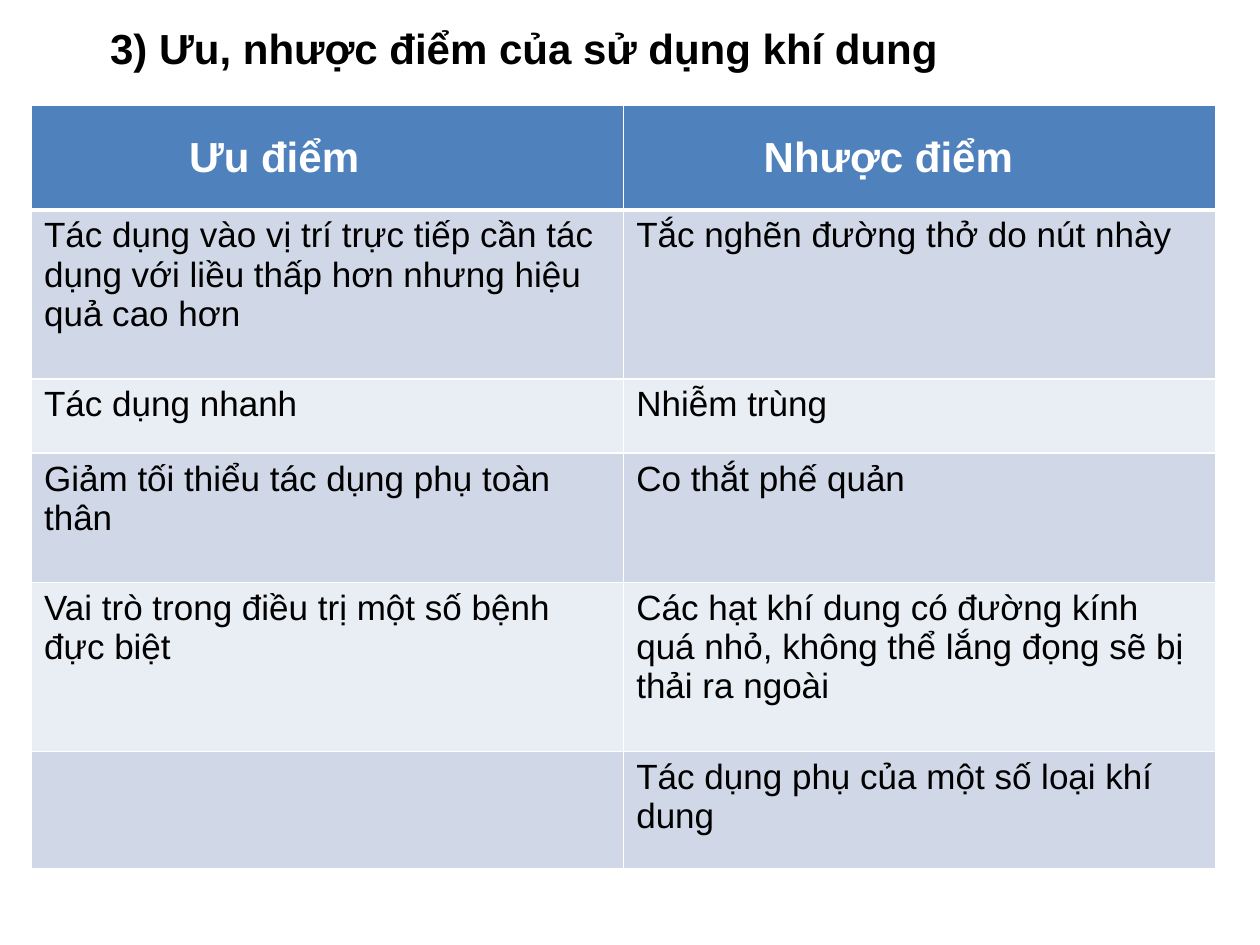
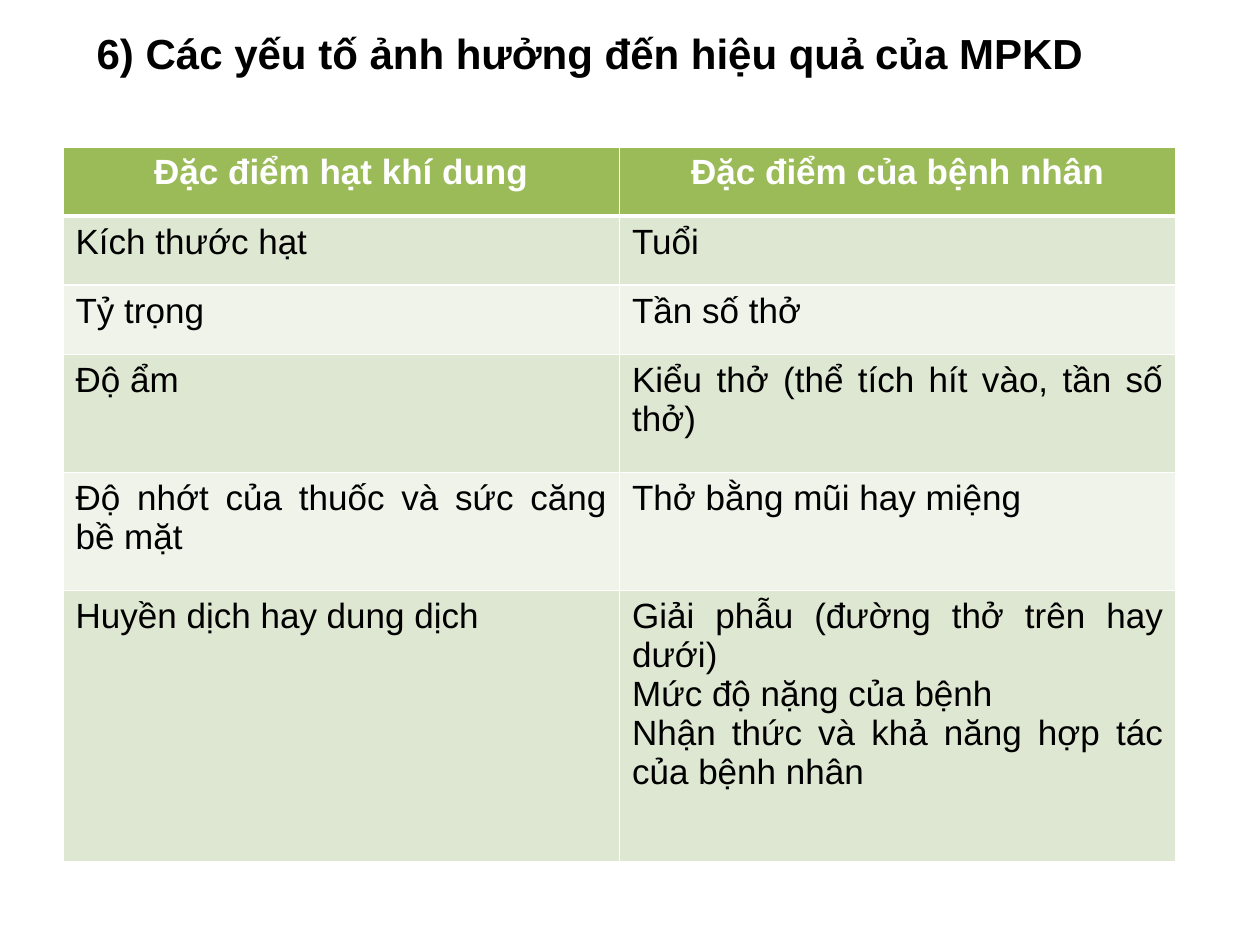
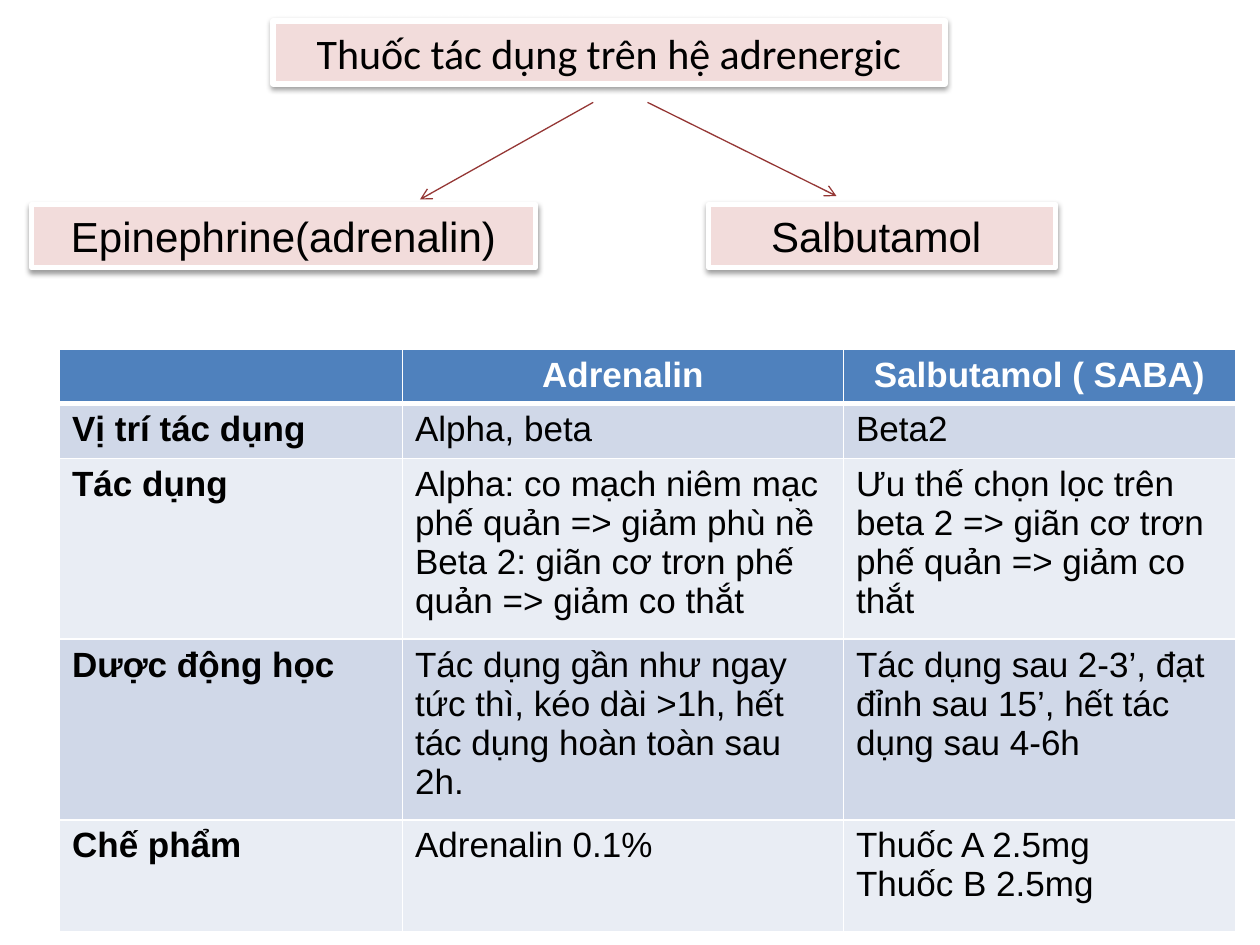
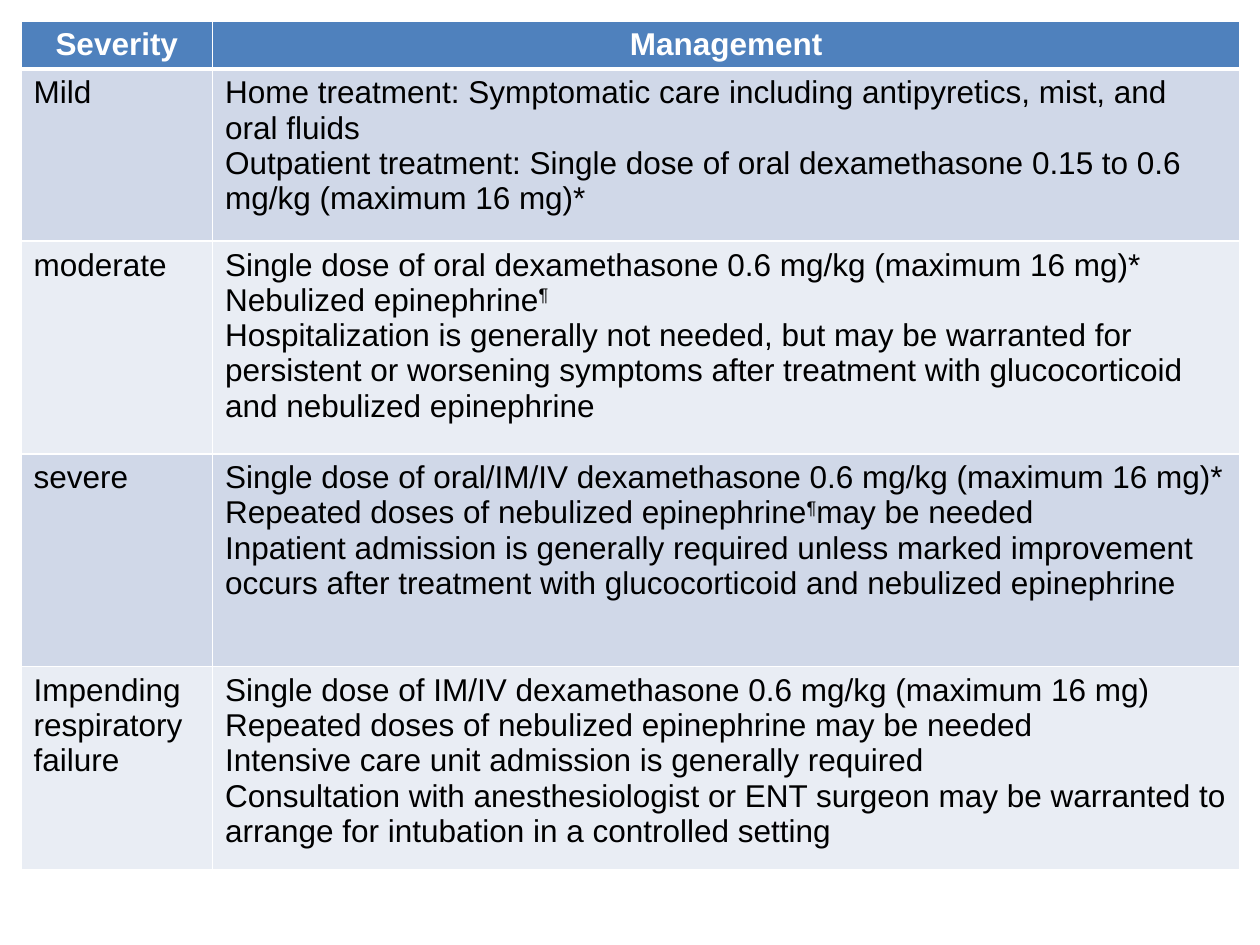
from lxml import etree
from pptx import Presentation
from pptx.dml.color import RGBColor
from pptx.enum.shapes import MSO_CONNECTOR, MSO_SHAPE
from pptx.enum.text import MSO_ANCHOR, MSO_AUTO_SIZE, PP_ALIGN
from pptx.oxml.ns import qn
from pptx.util import Pt

LEFT, CENTER, JUSTIFY = PP_ALIGN.LEFT, PP_ALIGN.CENTER, PP_ALIGN.JUSTIFY
TOP, MIDDLE = MSO_ANCHOR.TOP, MSO_ANCHOR.MIDDLE
NO_FIT, GROW = MSO_AUTO_SIZE.NONE, MSO_AUTO_SIZE.SHAPE_TO_FIT_TEXT
RECT, STRAIGHT = MSO_SHAPE.RECTANGLE, MSO_CONNECTOR.STRAIGHT
TITLE_ONLY, BLANK = 5, 6

COLORS = {
    "text": "000000", "white": "FFFFFF",
    "blue": "4F81BD", "blue_dark": "D0D8E8", "blue_light": "E9EDF4",
    "green": "9BBB59", "green_dark": "DEE7D1", "green_light": "EFF3EA",
    "pink": "F2DCDB", "arrow": "953735",
}


def rgb(name):
    """Return a palette colour."""
    return RGBColor.from_string(COLORS[name])


def write(tf, text, size=20, font="Arial", color="text", bold=False,
          align=LEFT, spacing=None):
    """Fill a text frame, one paragraph a line; ^x^ marks superscript."""
    for i, line in enumerate(text.split("\n")):
        p = tf.paragraphs[0] if i == 0 else tf.add_paragraph()
        p.alignment = align
        if spacing:
            p.line_spacing = spacing
        for j, part in enumerate(line.split("^")):
            if not part:
                continue
            r = p.add_run()
            r.text = part
            r.font.size, r.font.name, r.font.bold = Pt(size), font, bold
            r.font.color.rgb = rgb(color)
            if j % 2:
                r.font._element.set("baseline", "30000")


def add_title(s, box, text, align=LEFT, anchor=TOP):
    """Place and fill the slide's title placeholder."""
    sp = s.shapes.title
    sp.left, sp.top, sp.width, sp.height = map(Pt, box)
    tf = sp.text_frame
    tf.word_wrap, tf.auto_size, tf.vertical_anchor = True, NO_FIT, anchor
    write(tf, text, size=24, bold=True, align=align)


def set_borders(cell, top=1, bottom=1):
    """Draw white borders round a cell."""
    tc_pr = cell._tc.get_or_add_tcPr()
    for side, width in (("L", 1), ("R", 1), ("T", top), ("B", bottom)):
        ln = etree.SubElement(tc_pr, qn(f"a:ln{side}"), w=str(Pt(width)))
        fill = etree.SubElement(ln, qn("a:solidFill"))
        etree.SubElement(fill, qn("a:srgbClr"), val=COLORS["white"])


def add_table(s, left, top, widths, heights, rows, theme="blue", size=20,
              align=LEFT, head_size=None, head_align=CENTER,
              head_spacing=None, head_indents=(), bold_first=False):
    """Add a banded table with a coloured header row."""
    table = s.shapes.add_table(len(rows), len(widths), Pt(left), Pt(top),
                               Pt(sum(widths)), Pt(sum(heights))).table
    for column, width in zip(table.columns, widths):
        column.width = Pt(width)
    for row, height in zip(table.rows, heights):
        row.height = Pt(height)
    for i, texts in enumerate(rows):
        band = theme if i == 0 else theme + ("_dark" if i % 2 else "_light")
        for j, text in enumerate(texts):
            cell = table.cell(i, j)
            set_borders(cell, top=3 if i == 1 else 1, bottom=3 if i == 0 else 1)
            cell.fill.solid()
            cell.fill.fore_color.rgb = rgb(band)
            if not text:
                continue
            if i == 0:
                write(cell.text_frame, text, size=head_size or size, color="white",
                      bold=True, align=head_align, spacing=head_spacing)
            else:
                write(cell.text_frame, text, size=size, align=align,
                      bold=bold_first and j == 0)
    for j, indent in enumerate(head_indents):
        table.cell(0, j).margin_left = Pt(indent)


def add_drug_box(s, box, text, font="Arial"):
    """Add a pink label with a white frame and a soft shadow."""
    sp = s.shapes.add_shape(RECT, *map(Pt, box))
    sp.fill.solid()
    sp.fill.fore_color.rgb = rgb("pink")
    sp.line.color.rgb = rgb("white")
    sp.line.width = Pt(3)
    sp.shadow.inherit = False
    effects = sp._element.spPr.find(qn("a:effectLst"))
    shadow = etree.SubElement(effects, qn("a:outerShdw"), blurRad=str(Pt(3.1)),
                              dist=str(Pt(1.6)), dir="5400000", rotWithShape="0")
    color = etree.SubElement(shadow, qn("a:srgbClr"), val=COLORS["text"])
    etree.SubElement(color, qn("a:alpha"), val="38000")
    tf = sp.text_frame
    tf.word_wrap, tf.auto_size, tf.vertical_anchor = True, GROW, TOP
    write(tf, text, size=24, font=font, align=CENTER)


def add_arrow(s, start, end):
    """Add a thin arrow between two points."""
    cn = s.shapes.add_connector(STRAIGHT, *map(Pt, start + end))
    cn.line.color.rgb = rgb("arrow")
    cn.line.width = Pt(0.75)
    etree.SubElement(cn.line._get_or_add_ln(), qn("a:tailEnd"), type="arrow")
    etree.SubElement(cn._element.spPr, qn("a:effectLst"))


def pros_cons_slide(s):
    """Advantages and drawbacks of aerosol therapy."""
    add_title(s, (24, 0, 551, 54), "3) Ưu, nhược điểm của sử dụng khí dung",
              align=CENTER, anchor=MIDDLE)
    add_table(s, 18, 60, [338.4] * 2, [60, 96.5, 42.5, 74, 96.5, 67], [
        ("Ưu điểm", "Nhược điểm"),
        ("Tác dụng vào vị trí trực tiếp cần tác dụng với liều thấp hơn nhưng "
         "hiệu quả cao hơn", "Tắc nghẽn đường thở do nút nhày"),
        ("Tác dụng nhanh", "Nhiễm trùng"),
        ("Giảm tối thiểu tác dụng phụ toàn thân", "Co thắt phế quản"),
        ("Vai trò trong điều trị một số bệnh đực biệt",
         "Các hạt khí dung có đường kính quá nhỏ, không thể lắng đọng sẽ bị "
         "thải ra ngoài"),
        ("", "Tác dụng phụ của một số loại khí dung"),
    ], head_size=24, head_align=LEFT, head_spacing=1.5, head_indents=(90, 80))


def factors_slide(s):
    """Factors that affect nebulizer efficiency."""
    add_title(s, (48, 12, 624, 36), "6) Các yếu tố ảnh hưởng đến hiệu quả của MPKD")
    add_table(s, 36, 84, [318] * 2, [39.5] * 3 + [67.5] * 2 + [155], [
        ("Đặc điểm hạt khí dung", "Đặc điểm của bệnh nhân"),
        ("Kích thước hạt", "Tuổi"),
        ("Tỷ trọng", "Tần số thở"),
        ("Độ ẩm", "Kiểu thở (thể tích hít vào, tần số thở)"),
        ("Độ nhớt của thuốc và sức căng bề mặt", "Thở bằng mũi hay miệng"),
        ("Huyền dịch hay dung dịch",
         "Giải phẫu (đường thở trên hay dưới)\nMức độ nặng của bệnh\n"
         "Nhận thức và khả năng hợp tác của bệnh nhân"),
    ], theme="green", align=JUSTIFY)


def adrenergic_slide(s):
    """Tree of adrenergic drugs above their comparison table."""
    add_drug_box(s, (156, 12, 384, 36), "Thuốc tác dụng trên hệ adrenergic",
                 font="Calibri")
    add_arrow(s, (339, 58.5), (240, 114))
    add_arrow(s, (370, 58.5), (478, 112))
    add_drug_box(s, (18, 117, 288, 36), "Epinephrine(adrenalin)")
    add_drug_box(s, (405, 117, 198, 36), "Salbutamol ")
    add_table(s, 34, 199.5, [196, 252, 224], [31, 31, 103, 103, 64], [
        ("", "Adrenalin", "Salbutamol ( SABA)"),
        ("Vị trí tác dụng", "Alpha, beta", "Beta2"),
        ("Tác dụng",
         "Alpha: co mạch niêm mạc phế quản => giảm phù nề\n"
         "Beta 2: giãn cơ trơn phế quản => giảm co thắt",
         "Ưu thế chọn lọc trên beta 2 => giãn cơ trơn phế quản => giảm co thắt"),
        ("Dược động học",
         "Tác dụng gần như ngay tức thì, kéo dài >1h, hết tác dụng hoàn toàn "
         "sau 2h.",
         "Tác dụng sau 2-3’, đạt đỉnh sau 15’, hết tác dụng sau 4-6h"),
        ("Chế phẩm", "Adrenalin 0.1%", "Thuốc A 2.5mg\nThuốc B 2.5mg"),
    ], bold_first=True)


def severity_slide(s):
    """Management by severity."""
    add_table(s, 12, 12, [109.5, 587], [26.5, 98.5, 121.5, 121.5, 116], [
        ("Severity", "Management"),
        ("Mild",
         "Home treatment: Symptomatic care including antipyretics, mist, and "
         "oral fluids\n"
         "Outpatient treatment: Single dose of oral dexamethasone 0.15 to 0.6 "
         "mg/kg (maximum 16 mg)*"),
        ("moderate",
         "Single dose of oral dexamethasone 0.6 mg/kg (maximum 16 mg)*\n"
         "Nebulized epinephrine^¶^\n"
         "Hospitalization is generally not needed, but may be warranted for "
         "persistent or worsening symptoms after treatment with glucocorticoid "
         "and nebulized epinephrine"),
        ("severe",
         "Single dose of oral/IM/IV dexamethasone 0.6 mg/kg (maximum 16 mg)*\n"
         "Repeated doses of nebulized epinephrine^¶^may be needed\n"
         "Inpatient admission is generally required unless marked improvement "
         "occurs after treatment with glucocorticoid and nebulized epinephrine"),
        ("Impending respiratory failure",
         "Single dose of IM/IV dexamethasone 0.6 mg/kg (maximum 16 mg)\n"
         "Repeated doses of nebulized epinephrine may be needed\n"
         "Intensive care unit admission is generally required\n"
         "Consultation with anesthesiologist or ENT surgeon may be warranted to "
         "arrange for intubation in a controlled setting"),
    ], size=18)


prs = Presentation()
prs.slide_width, prs.slide_height = Pt(720), Pt(540)
for build, layout in ((pros_cons_slide, TITLE_ONLY), (factors_slide, TITLE_ONLY),
                      (adrenergic_slide, BLANK), (severity_slide, BLANK)):
    build(prs.slides.add_slide(prs.slide_layouts[layout]))
prs.save("out.pptx")
